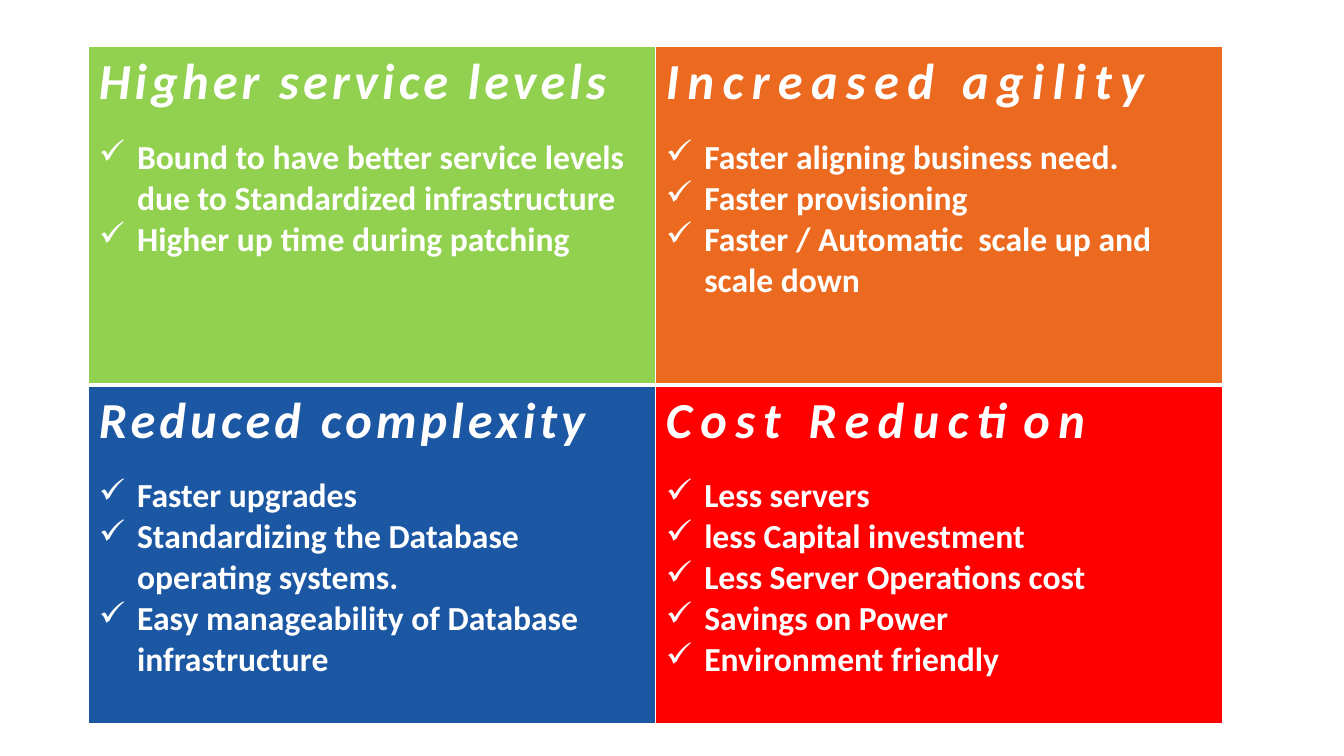
import dataclasses
import pptx
import pptx.dml.color
import pptx.oxml
import pptx.oxml.ns
import pptx.util

Inches, Pt = pptx.util.Inches, pptx.util.Pt
WIDE, HIGH = Inches(13.33), Inches(7.5)


@dataclasses.dataclass(frozen=True)
class Theme:
    """Colours, font and type sizes of the slide."""
    font: str = "Calibri"
    white: str = "FFFFFF"
    green: str = "92D050"
    orange: str = "EC6A1F"
    blue: str = "1C57A3"
    red: str = "FF0000"
    head: int = 36
    body: int = 24
    gap: int = 17
    thin: int = 1
    thick: int = 3


THEME = Theme()

# Each cell: heading, letter spacing in points, fill, points
GRID = [
    [("Higher service levels", 3, THEME.green,
      ["Bound to have better service levels due to Standardized infrastructure",
       "Higher up time during patching"]),
     ("Increased agility", 6, THEME.orange,
      ["Faster aligning business need.",
       "Faster provisioning",
       "Faster / Automatic  scale up and scale down"])],
    [("Reduced complexity", 3, THEME.blue,
      ["Faster upgrades",
       "Standardizing the Database operating systems.",
       "Easy manageability of Database infrastructure"]),
     ("Cost Reduction", 6, THEME.red,
      ["Less servers",
       "less Capital investment",
       "Less Server Operations cost",
       "Savings on Power",
       "Environment friendly"])],
]


def rgb(code):
    """Turn a hex code into a colour."""
    return pptx.dml.color.RGBColor.from_string(code)


def node(tag, inner="", **attrs):
    """Make a DrawingML element from its tag, content and attributes."""
    text = "".join(f' {key}="{val}"' for key, val in attrs.items())
    space = pptx.oxml.ns.nsdecls("a")
    return pptx.oxml.parse_xml(f"<a:{tag} {space}{text}>{inner}</a:{tag}>")


def write(para, text, size=THEME.body, italic=False, space=0, after=0):
    """Write bold white text into a paragraph."""
    run = para.add_run()
    run.text = text
    font = run.font
    font.name, font.size = THEME.font, Pt(size)
    font.bold, font.italic = True, italic
    font.color.rgb = rgb(THEME.white)
    run._r.get_or_add_rPr().set("spc", str(space * 100))
    para.space_after = Pt(after)


def tick(para, indent=0.38):
    """Give a paragraph a hanging white tick."""
    props = para._p.get_or_add_pPr()
    props.set("marL", str(Inches(indent)))
    props.set("indent", str(-Inches(indent)))
    props.append(node("buClr", f'<a:srgbClr val="{THEME.white}"/>'))
    props.append(node("buChar", char="\u2713"))


def frame(cell, **sides):
    """Draw white cell borders, one width for each side."""
    props = cell._tc.get_or_add_tcPr()
    fill = f'<a:solidFill><a:srgbClr val="{THEME.white}"/></a:solidFill>'
    for side in "LRTB":
        width = Pt(sides.get(side, THEME.thin))
        props.append(node("ln" + side, fill, w=width))


def panel(cell, title, space, color, points):
    """Fill one cell with a heading and its ticked points."""
    cell.fill.solid()
    cell.fill.fore_color.rgb = rgb(color)
    box = cell.text_frame
    write(box.paragraphs[0], title, size=THEME.head, italic=True,
          space=space, after=THEME.gap)
    for point in points:
        para = box.add_paragraph()
        write(para, point)
        tick(para)


def matrix(slide, grid, left, top, width, height):
    """Place a table of panels; lengths are shares of the slide."""
    rows, cols = len(grid), len(grid[0])
    table = slide.shapes.add_table(
        rows, cols, int(WIDE * left), int(HIGH * top),
        int(WIDE * width), int(HIGH * height)).table
    table.first_row = table.horz_banding = False
    for r, line in enumerate(grid):
        for c, item in enumerate(line):
            cell = table.cell(r, c)
            edge = "B" if r == 0 else "T"
            frame(cell, **{edge: THEME.thick})
            panel(cell, *item)


def main():
    """Build and save the slide."""
    deck = pptx.Presentation()
    deck.slide_width, deck.slide_height = WIDE, HIGH
    slide = deck.slides.add_slide(deck.slide_layouts[6])
    matrix(slide, GRID, left=0.066, top=0.062, width=0.844, height=0.895)
    deck.save("out.pptx")


main()
